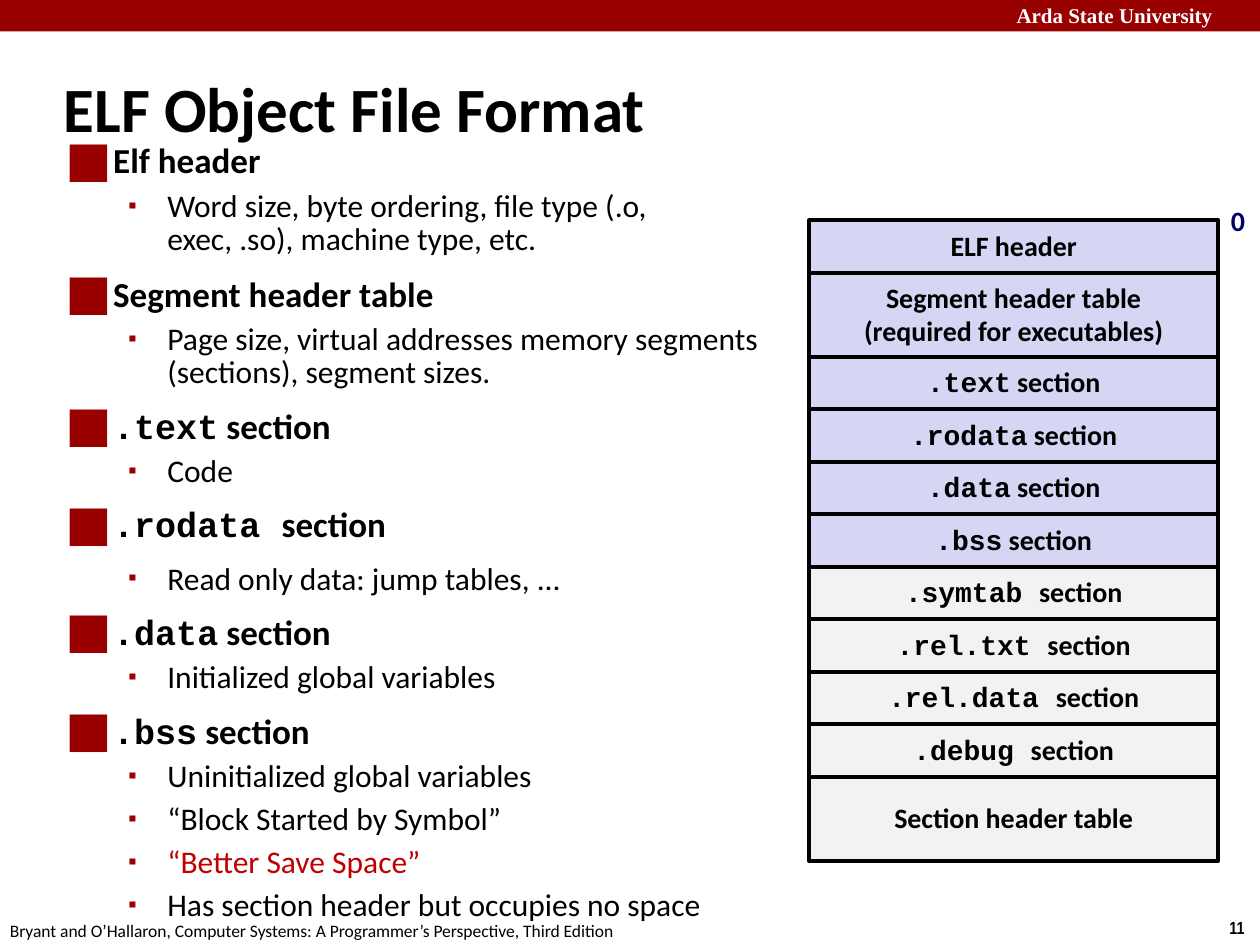
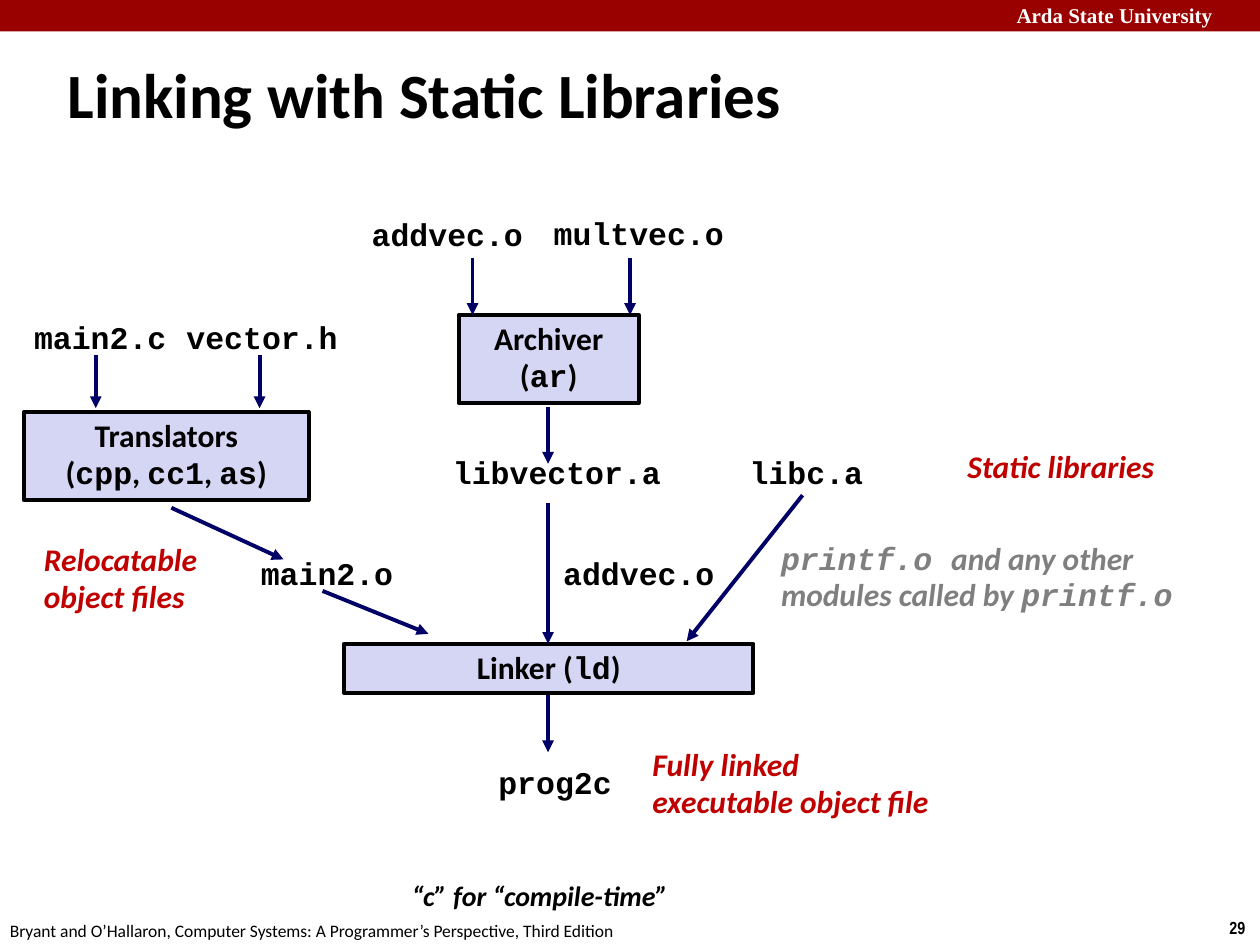
import pptx
import pptx.util
import pptx.dml.color
import pptx.enum.shapes
import pptx.enum.text
import pptx.oxml
import pptx.oxml.ns
from lxml import etree

Inches, Pt = pptx.util.Inches, pptx.util.Pt
RGB = pptx.dml.color.RGBColor.from_string
ALIGN = pptx.enum.text.PP_ALIGN
ANCHOR = pptx.enum.text.MSO_ANCHOR
RECT = pptx.enum.shapes.MSO_SHAPE.RECTANGLE
STRAIGHT = pptx.enum.shapes.MSO_CONNECTOR.STRAIGHT
qn = pptx.oxml.ns.qn


class Theme:
    band, white, black = "990000", "FFFFFF", "000000"
    loaded, unloaded = "D5D5F4", "F2F2F2"
    navy, red, grey = "000066", "C00000", "7F7F7F"
    font, code, band_font, number_font = "Calibri", "Courier New", "Times New Roman", "Arial Narrow"
    title, head, body, label, band_size, foot = 36, 20, 18, 16, 12, 10
    line = 2.25


T = Theme


def write(p, markup, size, color=T.black, bold=True, italic=False, font=T.font):
    """Fill a paragraph; text between backticks is set in the code font."""
    for i, piece in enumerate(markup.split("`")):
        if piece:
            r = p.add_run()
            r.text = piece
            r.font.size, r.font.bold, r.font.italic = Pt(size), bold, italic
            r.font.name = T.code if i % 2 else font
            r.font.color.rgb = RGB(color)


def box(s, at, lines, size, fill=None, line=True, center=False, middle=False,
        wrap=False, spacing=True, **style):
    """Add a text box, or a rectangle when a fill is given."""
    at = [Inches(v) for v in at]
    if fill:
        sp = s.shapes.add_shape(RECT, *at)
        sp.shadow.inherit = False
        sp.fill.solid()
        sp.fill.fore_color.rgb = RGB(fill)
        if line:
            sp.line.color.rgb = RGB(T.black)
            sp.line.width = Pt(T.line)
        else:
            sp.line.fill.background()
    else:
        sp = s.shapes.add_textbox(*at)
    tf = sp.text_frame
    tf.word_wrap = wrap
    tf.vertical_anchor = ANCHOR.MIDDLE if middle else ANCHOR.TOP
    for i, text in enumerate(lines):
        p = tf.add_paragraph() if i else tf.paragraphs[0]
        p.alignment = ALIGN.CENTER if center else ALIGN.LEFT
        if spacing:
            p.line_spacing = 0.94 if text.startswith("`") else 0.98
        write(p, text, size, **style)
    return sp


prs = pptx.Presentation()
prs.slide_width, prs.slide_height = Inches(10), Inches(7.5)

# Shared band, footer, page number and title
pages = [
    ("11", "ELF Object File Format", (0.41, 0.42, 9.53, 0.86)),
    ("29", "Linking with Static Libraries", (0.44, 0.31, 6.14, 0.86)),
]
for number, title, at in pages:
    s = prs.slides.add_slide(prs.slide_layouts[6])
    box(s, (0, 0, 10, 0.25), [], T.foot, fill=T.band, line=False)
    box(s, (7.97, -0.03, 2.1, 0.3), ["Arda State University"], T.band_size, wrap=True,
        spacing=False, color=T.white, font=T.band_font)
    box(s, (9.66, 7.23, 0.34, 0.27), [number], T.foot, spacing=False, font=T.number_font)
    box(s, (-0.02, 7.25, 5.08, 0.27),
        ["Bryant and O’Hallaron, Computer Systems: A Programmer’s Perspective, Third Edition"],
        T.foot, spacing=False, bold=False)
    box(s, at, [title], T.title, middle=True, wrap=True, spacing=False)
elf, linking = prs.slides

# ELF: bulleted outline
outline = [
    ("Elf header", ["Word size, byte ordering, file type (.o, exec, .so), machine type, etc."]),
    ("Segment header table",
     ["Page size, virtual addresses memory segments (sections), segment sizes."]),
    ("`.text` section", ["Code"]),
    ("`.rodata `section", ["Read only data: jump tables, ..."]),
    ("`.data` section", ["Initialized global variables"]),
    ("`.bss` section", ["Uninitialized global variables", "“Block Started by Symbol”",
                        "“Better Save Space”", "Has section header but occupies no space"]),
]
tf = box(elf, (0.42, 1.11, 5.85, 5.89), [], T.body, wrap=True).text_frame
p = tf.paragraphs[0]
for head, details in outline:
    for level, text in enumerate([head] + details):
        is_head = level == 0
        if p.runs:
            p = tf.add_paragraph()
            loose = is_head or text.startswith("Read only")
            p.space_before = Pt(12.5 if loose else 5.6)
        if is_head:
            p.line_spacing = 0.8 if text.startswith("`") else 0.83
            write(p, text, T.head)
        else:
            p.level = 1
            p.line_spacing = 0.8 if loose else 0.88
            write(p, text, T.body, bold=False, color=T.red if "Better" in text else T.black)
        left, hang, mark, percent = (0.38, 0.38, "■", 140) if is_head else (0.81, 0.31, "▪", 75)
        pPr = p._p.get_or_add_pPr()
        pPr.set("marL", str(Inches(left)))
        pPr.set("indent", str(-Inches(hang)))
        color = etree.SubElement(pPr, qn("a:buClr"))
        etree.SubElement(color, qn("a:srgbClr")).set("val", T.band)
        etree.SubElement(pPr, qn("a:buSzPct")).set("val", str(percent * 1000))
        etree.SubElement(pPr, qn("a:buFont")).set("typeface", T.font)
        etree.SubElement(pPr, qn("a:buChar")).set("char", mark)

# ELF: file layout, loaded sections first
row, tall = 5 / 12, 8 / 12
sections = [
    (["ELF header"], row, T.loaded),
    (["Segment header table", "(required for executables)"], tall, T.loaded),
    *[([f"`{name}` section"], row, T.loaded) for name in (".text", ".rodata", ".data", ".bss")],
    *[([f"`{name} `section"], row, T.unloaded)
      for name in (".symtab", ".rel.txt", ".rel.data", ".debug")],
    (["Section header table"], tall, T.unloaded),
]
top = 1.75
for lines, height, fill in sections:
    box(elf, (6.42, top, 3.25, height), lines, T.label, fill=fill, center=True, middle=True)
    top += height
box(elf, (9.67, 1.58, 0.31, 0.37), ["0"], T.label, color=T.navy)

# Linking: tools
tools = [
    ((0.19, 3.27, 2.26, 0.7), ["Translators", "(`cpp`, `cc1`, `as`)"]),
    ((3.64, 2.5, 1.43, 0.7), ["Archiver", "(`ar`)"]),
    ((2.73, 5.11, 3.25, 0.39), ["Linker (`ld`)"]),
]
for at, lines in tools:
    box(linking, at, lines, T.body, fill=T.loaded, center=True)

# Linking: files
files = [
    (0.17, 2.5, 1.25, "main2.c"), (1.38, 2.5, 1.4, "vector.h"),
    (2.85, 1.68, 1.4, "addvec.o"), (4.29, 1.67, 1.56, "multvec.o"),
    (3.49, 3.57, 1.86, "libvector.a"), (5.85, 3.57, 1.1, "libc.a"),
    (1.97, 4.37, 1.25, "main2.o"), (4.37, 4.37, 1.4, "addvec.o"),
    (3.85, 6.03, 1.11, "prog2c"),
]
for x, y, width, name in files:
    box(linking, (x, y, width, 0.39), [f"`{name}`"], T.body, center=True)

# Linking: remarks
remarks = [
    ((7.58, 3.51, 1.7, 0.4), ["Static libraries"], T.body, T.red),
    ((0.25, 4.25, 1.43, 0.7), ["Relocatable", "object files"], T.body, T.red),
    ((5.08, 5.88, 2.42, 0.7), ["Fully linked", "executable object file"], T.body, T.red),
    ((6.1, 4.25, 3.48, 0.69), ["`printf.o `and any other", "modules called by `printf.o `"],
     T.body, T.grey),
    ((3.17, 6.94, 2.38, 0.37), ["“c” for “compile-time”"], T.label, T.black),
]
for at, lines, size, color in remarks:
    box(linking, at, lines, size, color=color, italic=True)

# Linking: arrows
mid = 4.35
arrows = [
    (0.76, 2.82, 0.76, 3.24), (2.06, 2.82, 2.06, 3.24),
    (3.75, 2.05, 3.75, 2.5), (5, 2.05, 5, 2.5),
    (mid, 3.23, mid, 3.68), (mid, 3.99, mid, 5.11), (mid, 5.52, mid, 5.97),
    (1.36, 4.03, 2.25, 4.44), (2.56, 4.69, 3.4, 5.03), (6.37, 3.93, 5.45, 5.09),
]
for ends in arrows:
    arrow = linking.shapes.add_connector(STRAIGHT, *[Inches(v) for v in ends])
    arrow.line.color.rgb = RGB(T.navy)
    arrow.line.width = Pt(T.line)
    etree.SubElement(arrow.line._get_or_add_ln(), qn("a:tailEnd")).set("type", "triangle")
    etree.SubElement(arrow._element.spPr, qn("a:effectLst"))

prs.save("out.pptx")
